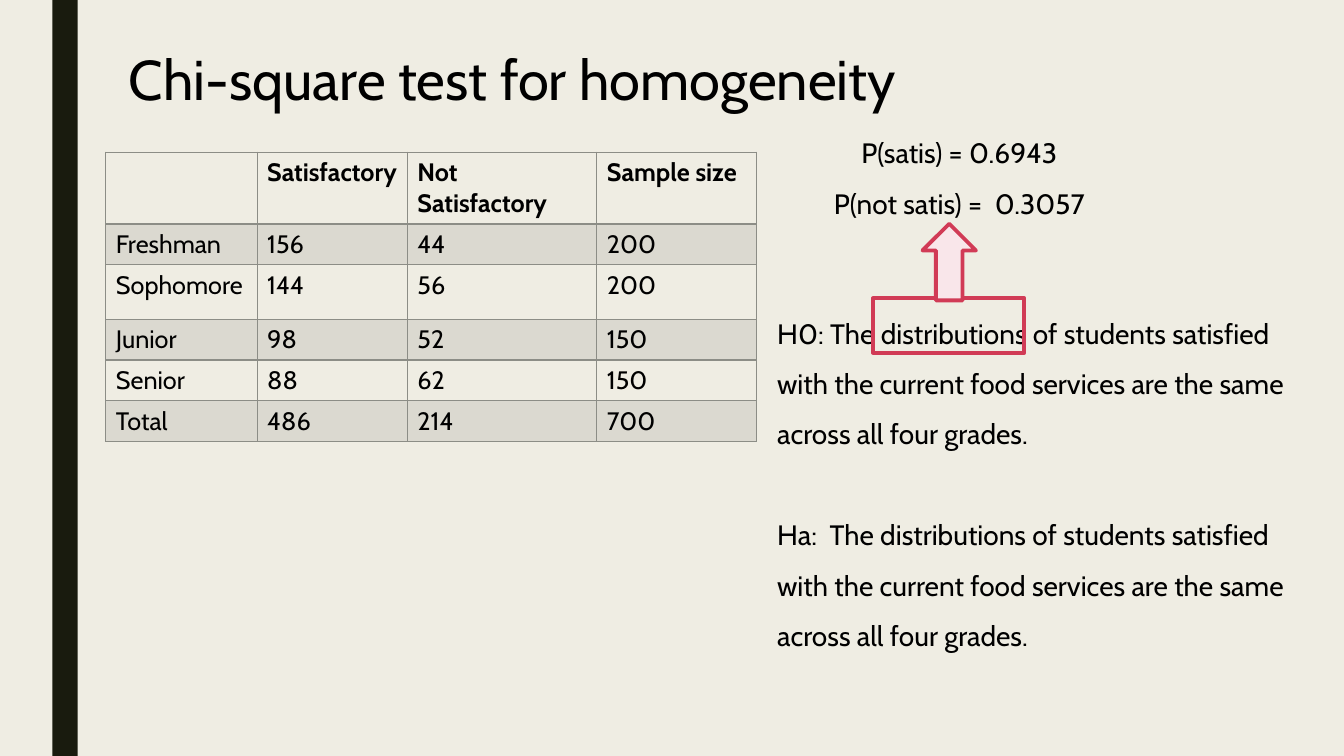
from dataclasses import dataclass

from lxml import etree
from pptx import Presentation
from pptx.dml.color import RGBColor
from pptx.enum.shapes import MSO_SHAPE as Preset
from pptx.enum.text import PP_ALIGN as Align
from pptx.oxml.ns import qn
from pptx.slide import Slide
from pptx.table import _Cell as Cell
from pptx.text.text import _Paragraph as Paragraph
from pptx.util import Inches, Pt

FONT = "Cabin"
COLORS = {
    "page": "EFEDE3",
    "bar": "191B0E",
    "text": "000000",
    "grid": "8C8D86",
    "accent": "D13B56",
    "arrow": "F9E6EA",
}
BAND_ALPHA = 20

COLUMN_WIDTHS = [1.5, 1.49, 1.88, 1.58]
ROW_HEIGHTS = [0.7, 0.4, 0.54, 0.4, 0.4, 0.4]
SURVEY = [
    ["", "Satisfactory", "Not Satisfactory", "Sample size"],
    ["Freshman", "156", "44", "200"],
    ["Sophomore", "144", "56", "200"],
    ["Junior", "98", "52", "150"],
    ["Senior", "88", "62", "150"],
    ["Total", "486", "214", "700"],
]


@dataclass
class TextBlock:
    area: tuple[float, float, float, float]
    lines: list[str]
    size: int = 20
    align: Align = Align.LEFT
    gap: int = 0


@dataclass
class Figure:
    preset: Preset
    area: tuple[float, float, float, float]
    fill: str | None = None
    line: str | None = None


TEXTS = [
    TextBlock((0.68, 0.06, 9.71, 1.11), ["Chi-square test for homogeneity"], size=40),
    TextBlock(
        (5.93, 1.13, 6.67, 1.05),
        ["P(satis) = 0.6943", "P(not satis) =  0.3057"],
        align=Align.CENTER,
    ),
    TextBlock(
        (7.11, 2.92, 6.04, 3.64),
        [
            "H0: The distributions of students satisfied with the current "
            "food services are the same across all four grades.",
            "Ha:  The distributions of students satisfied with the current "
            "food services are the same across all four grades.",
        ],
        gap=36,
    ),
]
SIDE_BAR = Figure(Preset.RECTANGLE, (0.52, 0, 0.25, 7.5), fill="bar")
HIGHLIGHTS = [
    Figure(Preset.RECTANGLE, (8.66, 2.96, 1.5, 0.54), line="accent"),
    Figure(Preset.UP_ARROW, (9.15, 2.22, 0.53, 0.76), fill="arrow", line="accent"),
]


def color(name: str) -> RGBColor:
    return RGBColor.from_string(COLORS[name])


def style(para: Paragraph, size: int, bold: bool = False) -> None:
    font = para.font
    font.name, font.size, font.bold = FONT, Pt(size), bold
    font.color.rgb = color("text")


def add_figure(page: Slide, figure: Figure) -> None:
    shape = page.shapes.add_shape(figure.preset, *map(Inches, figure.area))
    shape.shadow.inherit = False
    if figure.fill:
        shape.fill.solid()
        shape.fill.fore_color.rgb = color(figure.fill)
    else:
        shape.fill.background()
    if figure.line:
        shape.line.color.rgb = color(figure.line)
        shape.line.width = Pt(2.75)
    else:
        shape.line.fill.background()


def add_text(page: Slide, block: TextBlock) -> None:
    frame = page.shapes.add_textbox(*map(Inches, block.area)).text_frame
    frame.word_wrap = True
    for index, line in enumerate(block.lines):
        para = frame.add_paragraph() if index else frame.paragraphs[0]
        para.text = line
        para.alignment = block.align
        para.line_spacing = 1.5
        if index and block.gap:
            para.space_before = Pt(block.gap)
        para._p.get_or_add_pPr().set("marL", str(Inches(0.5)))
        para._p.get_or_add_pPr().set("indent", "0")
        style(para, block.size)


def add_borders(cell: Cell, bottom: float) -> None:
    properties = cell._tc.get_or_add_tcPr()
    for tag, width in (("lnL", 1), ("lnR", 1), ("lnT", 1), ("lnB", bottom)):
        line = etree.SubElement(properties, qn(f"a:{tag}"), w=str(Pt(width)))
        fill = etree.SubElement(line, qn("a:solidFill"))
        etree.SubElement(fill, qn("a:srgbClr"), val=COLORS["grid"])


def fill_band(cell: Cell) -> None:
    """Give the cell a translucent grey fill."""
    cell.fill.solid()
    cell.fill.fore_color.rgb = color("grid")
    tint = cell._tc.tcPr.find(f"{qn('a:solidFill')}/{qn('a:srgbClr')}")
    etree.SubElement(tint, qn("a:alpha"), val=str(BAND_ALPHA * 1000))


def add_survey_table(page: Slide) -> None:
    table = page.shapes.add_table(
        len(SURVEY), len(COLUMN_WIDTHS), Inches(1.05), Inches(1.51),
        Inches(sum(COLUMN_WIDTHS)), Inches(sum(ROW_HEIGHTS)),
    ).table
    for column, width in zip(table.columns, COLUMN_WIDTHS):
        column.width = Inches(width)
    for row_index, (row, height, values) in enumerate(zip(table.rows, ROW_HEIGHTS, SURVEY)):
        row.height = Inches(height)
        is_header = row_index == 0
        for cell, value in zip(row.cells, values):
            cell.text = value
            style(cell.text_frame.paragraphs[0], 18, bold=is_header)
            add_borders(cell, bottom=2 if is_header else 1)
            if row_index % 2:
                fill_band(cell)
            else:
                cell.fill.background()


def main() -> None:
    deck = Presentation()
    deck.slide_width, deck.slide_height = Inches(13.33), Inches(7.5)
    page = deck.slides.add_slide(deck.slide_layouts[6])
    page.background.fill.solid()
    page.background.fill.fore_color.rgb = color("page")
    add_figure(page, SIDE_BAR)
    add_survey_table(page)
    for block in TEXTS:
        add_text(page, block)
    for figure in HIGHLIGHTS:
        add_figure(page, figure)
    deck.save("out.pptx")


if __name__ == "__main__":
    main()
